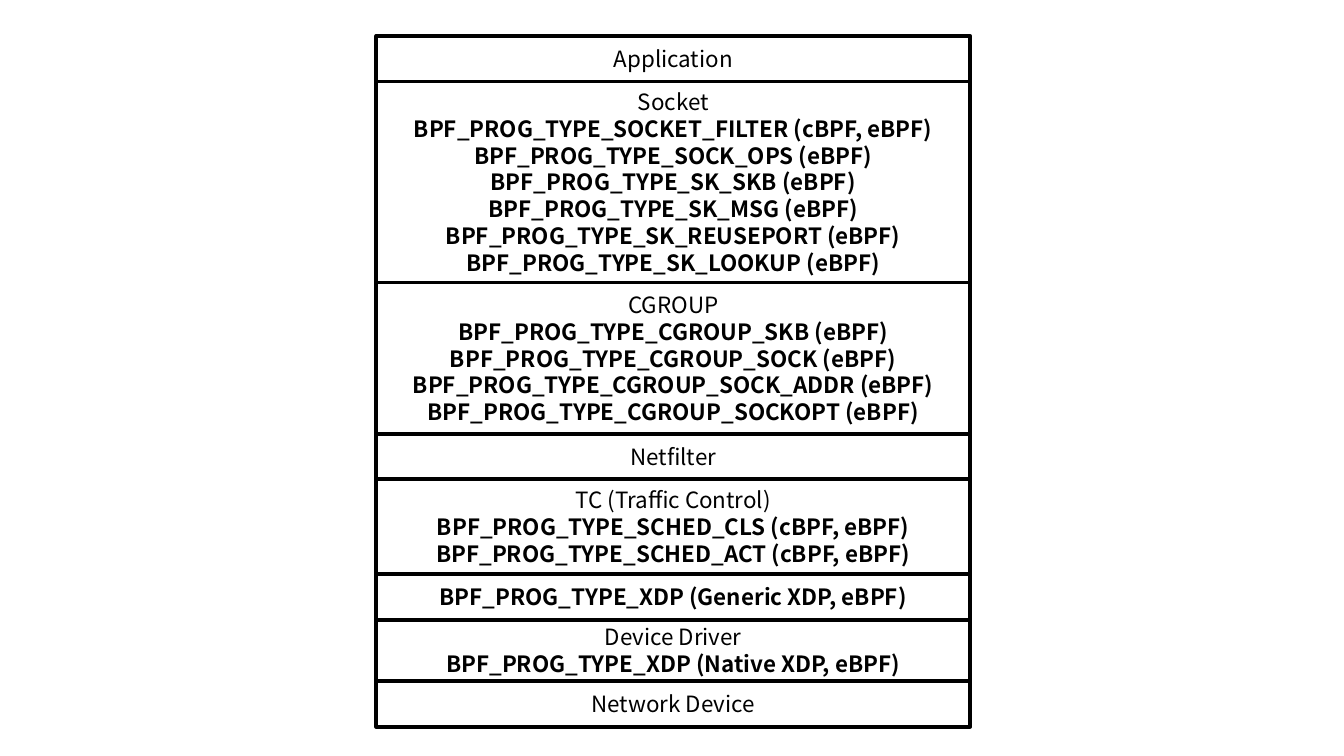
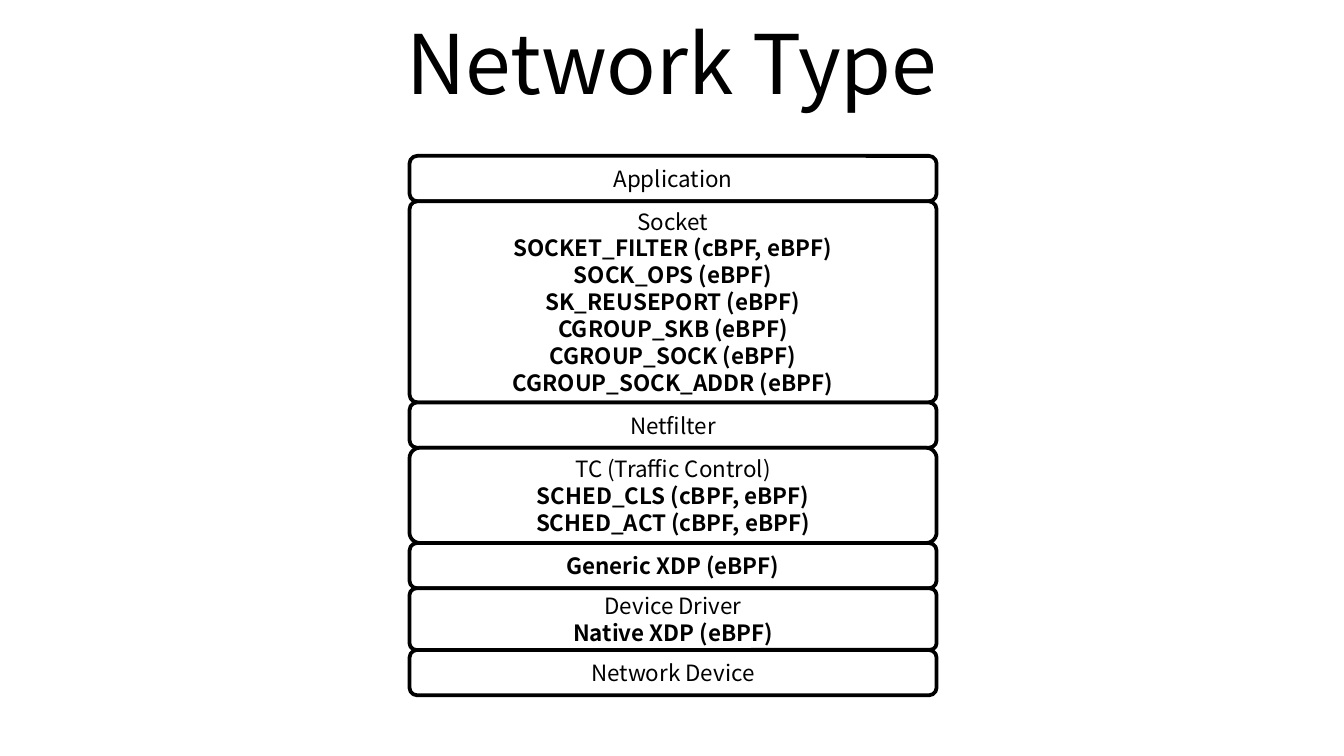
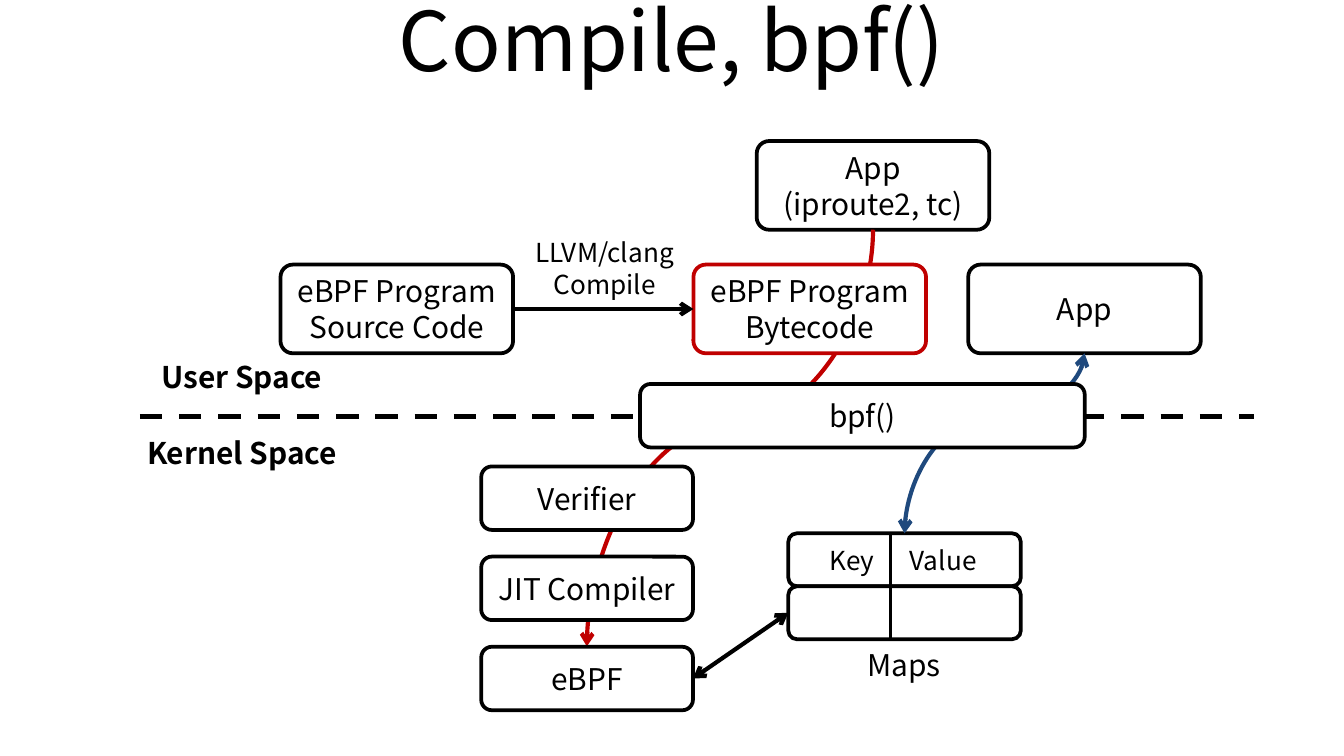
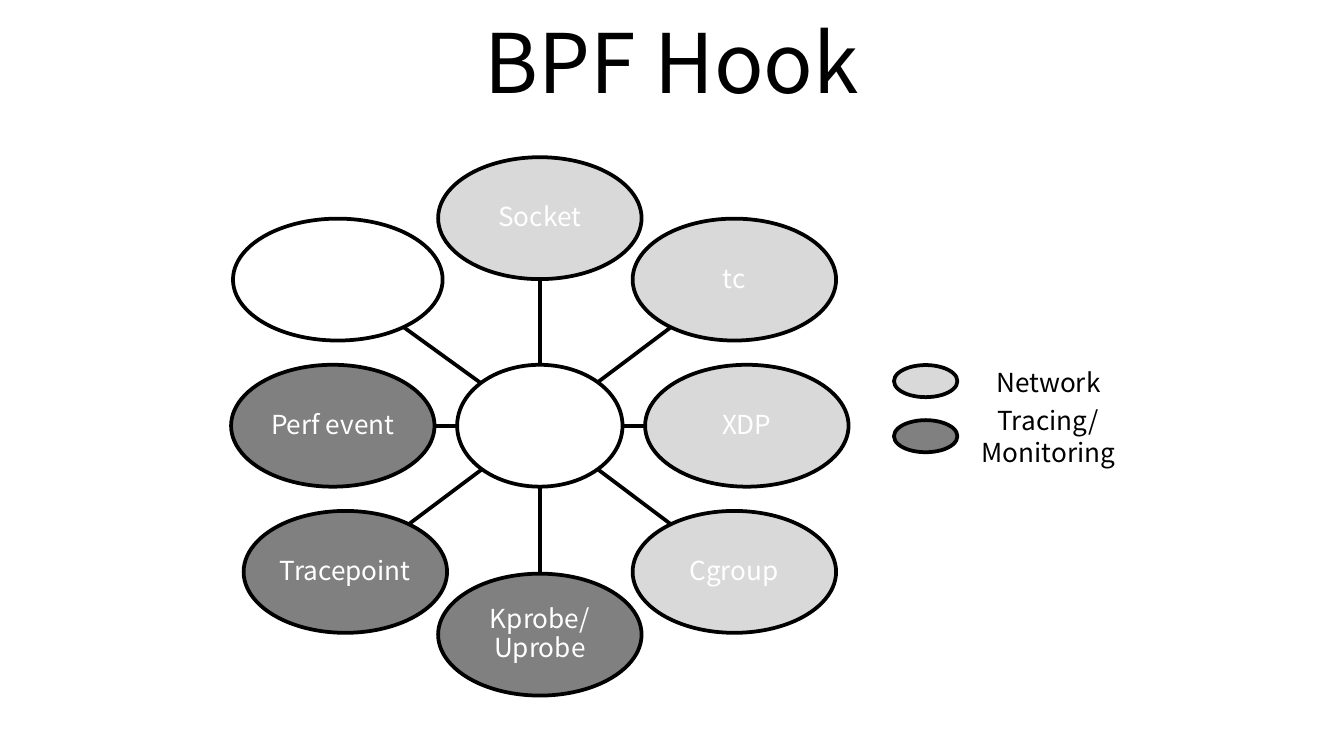
from dataclasses import dataclass
from math import hypot

from lxml import etree
from pptx import Presentation
from pptx.dml.color import RGBColor
from pptx.enum.dml import MSO_LINE
from pptx.enum.shapes import MSO_CONNECTOR, MSO_SHAPE
from pptx.enum.text import MSO_ANCHOR, PP_ALIGN
from pptx.oxml.ns import qn
from pptx.util import Pt

ROUNDED, OVAL = MSO_SHAPE.ROUNDED_RECTANGLE, MSO_SHAPE.OVAL
STRAIGHT, CURVE = MSO_CONNECTOR.STRAIGHT, MSO_CONNECTOR.CURVE
DASH = MSO_LINE.DASH
MIDDLE = MSO_ANCHOR.MIDDLE
LEFT, CENTER = PP_ALIGN.LEFT, PP_ALIGN.CENTER
TOP, LEFT_SIDE, BOTTOM, RIGHT_SIDE = range(4)


@dataclass(frozen=True)
class Theme:
    font: str = "Noto Sans CJK KR"
    ink: str = "000000"
    paper: str = "FFFFFF"
    load: str = "C00000"
    access: str = "1F497D"
    network: str = "D9D9D9"
    tracing: str = "808080"
    title: int = 44
    body: int = 16
    label: int = 14
    layer: int = 12
    outline: float = 2
    arrow: float = 2.25
    dashed: float = 3
    divider: float = 1.5


T = Theme()


def box(slide, kind, at, paragraphs=(), size=T.body, fill=T.paper, line=T.ink,
        color=T.ink, adj=None, inset=None, spacing=None, tabs=()):
    """Place a shape, or a bare text box if kind is None; paragraphs are (text, bold)."""
    at = [Pt(v) for v in at]
    if kind is None:
        shape = slide.shapes.add_textbox(*at)
    else:
        shape = slide.shapes.add_shape(kind, *at)
        shape.shadow.inherit = False
        shape.fill.solid()
        shape.fill.fore_color.rgb = RGBColor.from_string(fill)
        shape.line.color.rgb = RGBColor.from_string(line)
        shape.line.width = Pt(T.outline)
        if adj is not None:
            shape.adjustments[0] = adj
    frame = shape.text_frame
    frame.word_wrap = True
    frame.vertical_anchor = MIDDLE
    if inset is not None:
        frame.margin_left = frame.margin_right = Pt(inset)
        frame.margin_top = frame.margin_bottom = Pt(inset)
    for i, (text, bold) in enumerate(paragraphs):
        paragraph = frame.add_paragraph() if i else frame.paragraphs[0]
        paragraph.alignment = LEFT if tabs else CENTER
        if spacing:
            paragraph.line_spacing = spacing
        if tabs:
            props = paragraph._p.get_or_add_pPr()
            stops = etree.SubElement(props, qn("a:tabLst"))
            for stop in tabs:
                etree.SubElement(stops, qn("a:tab"), pos=str(Pt(stop)), algn="ctr")
        for j, part in enumerate(text.split("\n")):
            if j:
                paragraph.add_line_break()
            run = paragraph.add_run()
            run.text = part
            run.font.name = T.font
            run.font.size = Pt(size)
            run.font.bold = bold
            run.font.color.rgb = RGBColor.from_string(color)
    return shape


def link(slide, start, end, width=T.arrow, color=T.ink, ends=(), dash=None, bend=None):
    """Draw a line; bend makes it a curve that leaves downwards and turns at that share."""
    (x1, y1), (x2, y2) = start, end
    if bend is not None:
        # A quarter turn makes the sideways curve run from top right to bottom left
        mid_x, mid_y = (x1 + x2) / 2, (y1 + y2) / 2
        half_w, half_h = (y2 - y1) / 2, (x1 - x2) / 2
        x1, y1, x2, y2 = mid_x - half_w, mid_y - half_h, mid_x + half_w, mid_y + half_h
    kind = STRAIGHT if bend is None else CURVE
    connector = slide.shapes.add_connector(kind, Pt(x1), Pt(y1), Pt(x2), Pt(y2))
    connector.line.color.rgb = RGBColor.from_string(color)
    connector.line.width = Pt(width)
    if dash:
        connector.line.dash_style = dash
    props = connector.element.spPr
    for tip in ends:
        etree.SubElement(props.find(qn("a:ln")), qn(f"a:{tip}"), type="arrow")
    etree.SubElement(props, qn("a:effectLst"))
    if bend is not None:
        props.find(qn("a:xfrm")).set("rot", "5400000")
        guides = props.find(qn("a:prstGeom")).find(qn("a:avLst"))
        etree.SubElement(guides, qn("a:gd"), name="adj1", fmla=f"val {round(bend * 100000)}")
    return connector


prs = Presentation()
prs.slide_width, prs.slide_height = Pt(720), Pt(405)
blank = prs.slide_layouts[6]
full_types, short_types, compile_flow, hooks = [prs.slides.add_slide(blank) for _ in range(4)]

# Titles
for slide, title, top in ((short_types, "Network Type", -0.7),
                          (compile_flow, "Compile, bpf()", -13),
                          (hooks, "BPF Hook", -1.4)):
    box(slide, None, (36, top, 648, 67.7), [(title, False)], T.title)

# Slides 1 and 2: network stack, each layer a heading and its program types
full_layers = [
    ("Application", []),
    ("Socket", ["BPF_PROG_TYPE_SOCKET_FILTER (cBPF, eBPF)",
                "BPF_PROG_TYPE_SOCK_OPS (eBPF)",
                "BPF_PROG_TYPE_SK_SKB (eBPF)",
                "BPF_PROG_TYPE_SK_MSG (eBPF)",
                "BPF_PROG_TYPE_SK_REUSEPORT (eBPF)",
                "BPF_PROG_TYPE_SK_LOOKUP (eBPF)"]),
    ("CGROUP", ["BPF_PROG_TYPE_CGROUP_SKB (eBPF)",
                "BPF_PROG_TYPE_CGROUP_SOCK (eBPF)",
                "BPF_PROG_TYPE_CGROUP_SOCK_ADDR (eBPF)",
                "BPF_PROG_TYPE_CGROUP_SOCKOPT (eBPF)"]),
    ("Netfilter", []),
    ("TC (Traffic Control)", ["BPF_PROG_TYPE_SCHED_CLS (cBPF, eBPF)",
                              "BPF_PROG_TYPE_SCHED_ACT (cBPF, eBPF)"]),
    (None, ["BPF_PROG_TYPE_XDP (Generic XDP, eBPF)"]),
    ("Device Driver", ["BPF_PROG_TYPE_XDP (Native XDP, eBPF)"]),
    ("Network Device", []),
]
short_layers = [
    ("Application", []),
    ("Socket", ["SOCKET_FILTER (cBPF, eBPF)", "SOCK_OPS (eBPF)", "SK_REUSEPORT (eBPF)",
                "CGROUP_SKB (eBPF)", "CGROUP_SOCK (eBPF)", "CGROUP_SOCK_ADDR (eBPF)"]),
    ("Netfilter", []),
    ("TC (Traffic Control)", ["SCHED_CLS (cBPF, eBPF)", "SCHED_ACT (cBPF, eBPF)"]),
    (None, ["Generic XDP (eBPF)"]),
    ("Device Driver", ["Native XDP (eBPF)"]),
    ("Network Device", []),
]
# Layer height and corner rounding by number of lines
layer_format = {1: (24.3, 0.17), 2: (33, 0.11), 3: (51, 0.11), 5: (81, 0.05), 7: (107.8, 0.04)}
for slide, layers, left, top, width, is_round in (
        (full_types, full_layers, 201.6, 19.3, 318.2, False),
        (short_types, short_layers, 219.4, 83.5, 282.4, True)):
    for heading, programs in layers:
        lines = [(heading, False)] if heading else []
        lines += [(program, True) for program in programs]
        height, rounding = layer_format[len(lines)]
        box(slide, ROUNDED, (left, top, width, height), lines, T.layer,
            adj=rounding if is_round else 0)
        top += height

# Slide 3: border between user space and kernel space
link(compile_flow, (74.9, 223.2), (671.8, 223.2), T.dashed, dash=DASH)
for space, top in (("User Space", 188.6), ("Kernel Space", 229)):
    box(compile_flow, None, (59.8, top, 139.7, 26.6), [(space, True)])

# Loading path, running behind the boxes it passes through
program_w, program_h, program_top = 124.6, 47.5, 141.8
box(compile_flow, ROUNDED, (405.4, 75.6, program_w, program_h),
    [("App", False), ("(iproute2, tc)", False)], adj=0.14)
link(compile_flow, (467.7, 123.1), (314.4, 346.3), color=T.load, ends=["tailEnd"], bend=0.467)

# User space programs
source_code, bytecode, map_app = [
    box(compile_flow, ROUNDED, (left, program_top, program_w, program_h),
        [(text, False)], line=line, adj=0.14)
    for text, left, line in (("eBPF Program Source Code", 150.3, T.ink),
                             ("eBPF Program Bytecode", 371.5, T.load),
                             ("App", 518.7, T.ink))]
compiling = link(compile_flow, (274.9, 165.6), (371.5, 165.6), ends=["tailEnd"])
compiling.begin_connect(source_code, RIGHT_SIDE)
compiling.end_connect(bytecode, LEFT_SIDE)
box(compile_flow, None, (275.8, 123.1, 96.5, 41),
    [("LLVM/clang", False), ("Compile", False)], T.label)

# Kernel stages
stages = [box(compile_flow, ROUNDED, (257.8, 249.9 + 48.3 * i, 113.4, 34), [(stage, False)])
          for i, stage in enumerate(("Verifier", "JIT Compiler", "eBPF"))]

# Maps
map_left, map_top, map_row_h = 422.3, 285.7, 28.4
box(compile_flow, ROUNDED, (map_left, map_top, program_w, map_row_h),
    [("\tKey\tValue", False)], T.label, tabs=(25.8, 74.5))
map_entry = box(compile_flow, ROUNDED, (map_left, map_top + map_row_h, program_w, map_row_h))
link(compile_flow, (477.2, map_top), (477.2, map_top + 2 * map_row_h), T.divider)
box(compile_flow, None, (427.7, 343, 113, 26.6), [("Maps", False)])
map_use = link(compile_flow, (422.3, 328.3), (371.2, 363.6), ends=["headEnd", "tailEnd"])
map_use.begin_connect(map_entry, LEFT_SIDE)
map_use.end_connect(stages[-1], RIGHT_SIDE)

# Map access from user space, running behind the system call
link(compile_flow, (581, 189.3), (484.6, 285.7), color=T.access,
     ends=["headEnd", "tailEnd"], bend=0.341)
box(compile_flow, ROUNDED, (342.9, 205.7, 238.2, 34), [("bpf()", False)])

# Slide 4: hooks around a hub, as text, fill, offset from the hub and width
hub_x, hub_y, hub_w, oval_w, oval_h = 289.2, 228.1, 88.6, 109, 65.3
box(hooks, OVAL, (hub_x - hub_w / 2, hub_y - oval_h / 2, hub_w, oval_h))
for text, fill, dx, dy, width in (
        ("Socket", T.network, 0, -111.2, oval_w),
        ("tc", T.network, 104.2, -78.3, oval_w),
        ("XDP", T.network, 110.9, 0, oval_w),
        ("Cgroup", T.network, 104.2, 78.3, oval_w),
        ("Kprobe/\nUprobe", T.tracing, 0, 111.9, oval_w),
        ("Tracepoint", T.tracing, -104.2, 78.3, oval_w),
        ("Perf event", T.tracing, -110.9, 0, oval_w),
        (None, T.paper, -108.2, -78.3, 112.3)):
    # The spoke runs from rim to rim on the line between the centres
    leave = 1 / hypot(2 * dx / hub_w, 2 * dy / oval_h)
    reach = 1 - 1 / hypot(2 * dx / width, 2 * dy / oval_h)
    link(hooks, (hub_x + dx * leave, hub_y + dy * leave),
         (hub_x + dx * reach, hub_y + dy * reach), T.outline)
    box(hooks, OVAL, (hub_x + dx - width / 2, hub_y + dy - oval_h / 2, width, oval_h),
        [(text, False)] if text else [], T.label, fill, color=T.paper, inset=0.7, spacing=0.9)

# Legend
for text, fill, key_top, text_top, text_h in (
        ("Network", T.network, 195.6, 192.2, 24.5),
        ("Tracing/\nMonitoring", T.tracing, 225.1, 213.1, 41)):
    box(hooks, OVAL, (478.9, key_top, 34, 17.2), fill=fill)
    box(hooks, None, (513.4, text_top, 96.5, text_h), [(text, False)], T.label)

prs.save("out.pptx")
